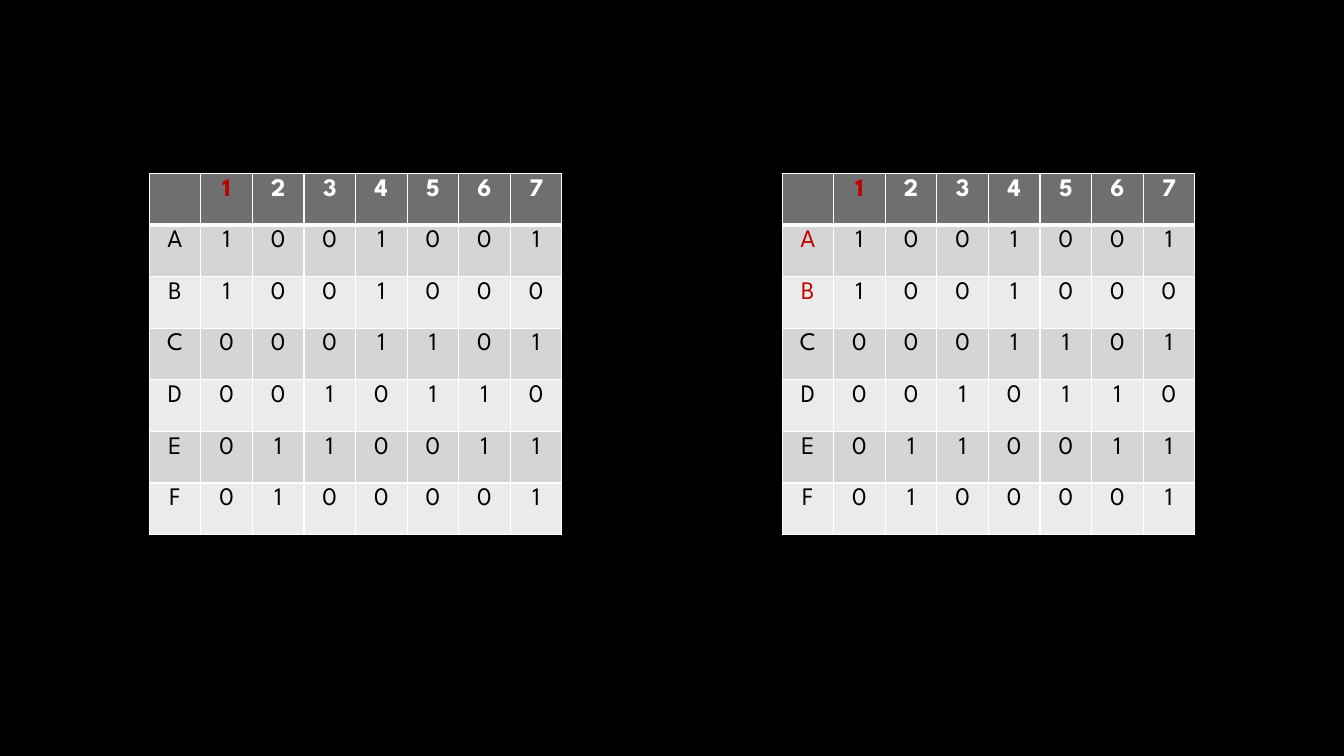
"""Build a slide with two set-membership matrices, the second with its matching rows marked."""
from lxml import etree
from pptx import Presentation
from pptx import util as u
from pptx.dml.color import RGBColor
from pptx.enum import text
from pptx.oxml import ns

BLACK = RGBColor(0x00, 0x00, 0x00)
WHITE = RGBColor(0xFF, 0xFF, 0xFF)
RED = RGBColor(0xC0, 0x00, 0x00)
HEAD = RGBColor(0x6F, 0x6F, 0x6F)
DARK = RGBColor(0xD5, 0xD5, 0xD5)
LIGHT = RGBColor(0xEB, 0xEB, 0xEB)

FONT = "League Spartan"
SIDE = u.Cm(1.3)
TOP = u.Cm(4.37)
GRID = [
    ["", *"1234567"],
    [*"A1001001"],
    [*"B1001000"],
    [*"C0001101"],
    [*"D0010110"],
    [*"E0110011"],
    [*"F0100001"],
]


def edge(cell, side, width):
    """Draw one white border of a cell, with its width in points."""
    props = cell._tc.get_or_add_tcPr()
    line = etree.SubElement(props, ns.qn(f"a:ln{side}"), w=str(u.Pt(width)))
    fill = etree.SubElement(line, ns.qn("a:solidFill"))
    etree.SubElement(fill, ns.qn("a:srgbClr"), val=str(WHITE))


def style(cell, label, fill, color, bold):
    """Fill a cell and write its centred label."""
    cell.fill.solid()
    cell.fill.fore_color.rgb = fill
    cell.text = label
    para = cell.text_frame.paragraphs[0]
    para.alignment = text.PP_ALIGN.CENTER
    para.font.name = FONT
    para.font.size = u.Pt(18)
    para.font.bold = bold
    para.font.color.rgb = color


def matrix(slide, left, marked):
    """Add the matrix, with the marked row and column labels in red."""
    rows, cols = len(GRID), len(GRID[0])
    frame = slide.shapes.add_table(rows, cols, left, TOP, SIDE * cols, SIDE * rows)
    table = frame.table
    for band in (*table.columns,):
        band.width = SIDE
    for r, labels in enumerate(GRID):
        table.rows[r].height = SIDE
        fill = HEAD if r == 0 else DARK if r % 2 else LIGHT
        ink = WHITE if r == 0 else BLACK
        for c, label in enumerate(labels):
            cell = table.cell(r, c)
            for side in "LRTB":
                thick = (r, side) in ((0, "B"), (1, "T"))
                edge(cell, side, 3 if thick else 1)
            hot = 0 in (r, c) and label in marked
            style(cell, label, fill, RED if hot else ink, r == 0)


def main():
    """Build the slide and save it."""
    deck = Presentation()
    deck.slide_width, deck.slide_height = u.Cm(33.87), u.Cm(19.05)
    slide = deck.slides.add_slide(deck.slide_layouts[6])
    slide.background.fill.solid()
    slide.background.fill.fore_color.rgb = BLACK
    matrix(slide, u.Cm(3.76), ["1"])
    matrix(slide, u.Cm(19.71), ["1", "A", "B"])
    deck.save("out.pptx")


if __name__ == "__main__":
    main()
